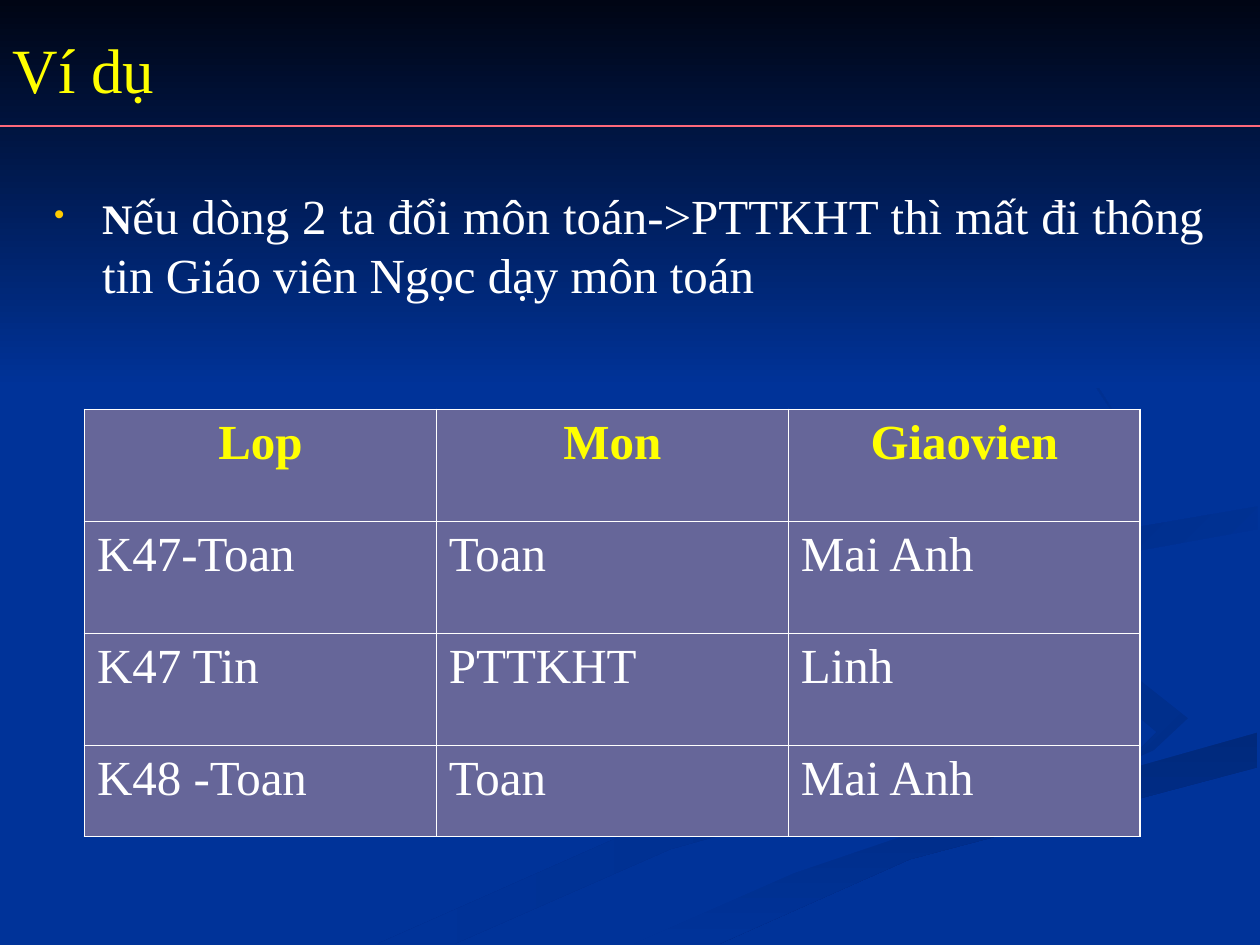
from dataclasses import dataclass

from lxml.etree import SubElement
from pptx import Presentation
from pptx.dml.color import RGBColor
from pptx.enum.shapes import MSO_CONNECTOR, MSO_SHAPE
from pptx.enum.text import MSO_ANCHOR, MSO_AUTO_SIZE, PP_ALIGN
from pptx.oxml.ns import qn
from pptx.util import Inches, Pt

FONT = "Times New Roman"
COLORS = {
    "blue": "003399",
    "night": "000514",
    "shade": "002E8A",
    "deep": "00297C",
    "dusk": "002C85",
    "ink": "002B81",
    "yellow": "FFFF00",
    "gold": "FFCC00",
    "white": "FFFFFF",
    "cell": "666699",
    "rule": "FE687A",
}


@dataclass
class Swirl:
    start: str
    end: str
    angle: int
    points: list[tuple[float, float]]


SWIRLS = [
    Swirl("shade", "blue", 180, [
        (7.81, 5.53), (6.42, 5.07), (5.75, 4.59), (5.76, 4.8), (7.41, 5.39), (7.86, 5.66),
        (7.39, 5.98), (4.99, 6.61), (3, 7.49), (3.61, 7.49), (5.32, 6.74), (7.8, 6.05),
        (8, 5.81)]),
    Swirl("shade", "blue", 225, [
        (9.43, 5.7), (9.05, 5.4), (7.58, 4.98), (7.24, 4.64), (7.46, 5), (8.8, 5.49),
        (9.18, 5.81), (8.94, 6.05), (9.37, 5.86)]),
    Swirl("deep", "blue", 90, [
        (5.03, 7.49), (5.71, 7.49), (7.22, 6.82), (9.98, 6.09), (9.98, 5.81), (7.64, 6.47),
        (6.3, 6.93)]),
    Swirl("blue", "blue", 0, [
        (7.25, 4.64), (7.59, 4.98), (9.05, 5.4), (9.43, 5.7), (9.11, 6), (7.04, 6.55),
        (4.77, 7.49), (5.03, 7.49), (6.3, 6.93), (7.65, 6.47), (9.99, 5.81), (9.99, 5.38),
        (8.32, 4.98), (7.82, 4.6), (8.35, 4.3), (9.99, 4.02), (9.99, 3.87), (7.7, 4.27)]),
    Swirl("blue", "dusk", 225, [
        (7.81, 4.6), (8.26, 4.96), (8.05, 4.72), (8.43, 4.48), (9.98, 4.2), (9.98, 4.02),
        (8.35, 4.3)]),
    Swirl("blue", "ink", 225, [
        (6.83, 4.3), (8.41, 3.96), (8.94, 3.44), (8.54, 2.83), (7.62, 2.33), (8.62, 2.92),
        (8.89, 3.35), (8.42, 3.78), (6.25, 4.26), (5.77, 4.62), (6.22, 5), (5.93, 4.7)]),
]

ROWS = [
    ("Lop", "Mon", "Giaovien"),
    ("K47-Toan", "Toan", "Mai Anh"),
    ("K47 Tin", "PTTKHT", "Linh"),
    ("K48 -Toan", "Toan", "Mai Anh"),
]
ROW_HEIGHTS = [0.89, 0.89, 0.89, 0.72]


def rgb(name: str) -> RGBColor:
    return RGBColor.from_string(COLORS[name])


def style(run, size: float, color: str, bold: bool = False) -> None:
    run.font.name = FONT
    run.font.size = Pt(size)
    run.font.bold = bold
    run.font.color.rgb = rgb(color)


def shade(shape, start: str, end: str, angle: int) -> None:
    shape.shadow.inherit = False
    shape.line.fill.background()
    if start == end:
        shape.fill.solid()
        shape.fill.fore_color.rgb = rgb(start)
        return
    shape.fill.gradient()
    shape.fill.gradient_angle = 360 - angle
    for stop, color in zip(shape.fill.gradient_stops, (start, end)):
        stop.color.rgb = rgb(color)


def draw_swirl(slide, swirl: Swirl) -> None:
    corners = [(Inches(x), Inches(y)) for x, y in swirl.points]
    builder = slide.shapes.build_freeform(*corners[0])
    builder.add_line_segments(corners[1:], close=True)
    shade(builder.convert_to_shape(), swirl.start, swirl.end, swirl.angle)


def draw_sky(slide) -> None:
    sky = slide.shapes.add_shape(MSO_SHAPE.RECTANGLE, 0, 0, Inches(10), Inches(3.08))
    shade(sky, "night", "blue", 90)


def place(holder, left: float, top: float, width: float, height: float, anchor) -> None:
    holder.left, holder.top = Inches(left), Inches(top)
    holder.width, holder.height = Inches(width), Inches(height)
    holder.text_frame.auto_size = MSO_AUTO_SIZE.NONE
    holder.text_frame.vertical_anchor = anchor
    holder.element.getparent().append(holder.element)


def write_title(slide) -> None:
    title = slide.shapes.title
    place(title, 0, 0, 8.84, 1.08, MSO_ANCHOR.MIDDLE)
    title.text_frame.text = "Ví dụ"
    heading = title.text_frame.paragraphs[0]
    heading.alignment = PP_ALIGN.LEFT
    style(heading.runs[0], 36, "yellow")


def write_body(slide) -> None:
    body = slide.placeholders[1]
    place(body, 0.33, 1.42, 9.33, 1.17, MSO_ANCHOR.TOP)
    remark = body.text_frame.paragraphs[0]
    properties = remark._p.get_or_add_pPr()
    properties.set("marL", str(Inches(0.38)))
    properties.set("indent", str(-Inches(0.38)))
    SubElement(SubElement(properties, qn("a:buClr")), qn("a:srgbClr"), val=COLORS["gold"])
    SubElement(properties, qn("a:buSzPct"), val="70000")
    SubElement(properties, qn("a:buChar"), char="•")
    remark.alignment = PP_ALIGN.JUSTIFY
    remark.space_before = Pt(0)
    initial, rest = remark.add_run(), remark.add_run()
    initial.text = "N"
    rest.text = "ếu dòng 2 ta đổi môn toán->PTTKHT thì mất đi thông tin Giáo viên Ngọc dạy môn toán"
    style(initial, 24, "white", bold=True)
    style(rest, 28, "white")


def add_border(cell, side: str, outer: bool) -> None:
    width = Pt(1.08 if outer else 0.45)
    border = SubElement(cell._tc.get_or_add_tcPr(), qn(f"a:{side}"), w=str(width))
    SubElement(SubElement(border, qn("a:solidFill")), qn("a:srgbClr"), val=COLORS["white"])


def add_schedule(slide) -> None:
    last_row, last_column = len(ROWS) - 1, len(ROWS[0]) - 1
    schedule = slide.shapes.add_table(len(ROWS), len(ROWS[0]), Inches(0.67), Inches(3.25),
                                      Inches(8.38), Inches(sum(ROW_HEIGHTS))).table
    for r, (entries, height) in enumerate(zip(ROWS, ROW_HEIGHTS)):
        schedule.rows[r].height = Inches(height)
        for c, entry in enumerate(entries):
            cell = schedule.cell(r, c)
            add_border(cell, "lnL", c == 0)
            add_border(cell, "lnR", c == last_column)
            add_border(cell, "lnT", r == 0)
            add_border(cell, "lnB", r == last_row)
            cell.fill.solid()
            cell.fill.fore_color.rgb = rgb("cell")
            cell.text_frame.text = entry
            line = cell.text_frame.paragraphs[0]
            line.alignment = PP_ALIGN.CENTER if r == 0 else PP_ALIGN.LEFT
            style(line.runs[0], 28, "yellow" if r == 0 else "white", bold=r == 0)


def add_rule(slide) -> None:
    rule = slide.shapes.add_connector(MSO_CONNECTOR.STRAIGHT, 0, Inches(1), Inches(10), Inches(1))
    rule.line.color.rgb = rgb("rule")
    rule.line.width = Pt(0.75)
    SubElement(rule.element.spPr, qn("a:effectLst"))


def main() -> None:
    deck = Presentation()
    deck.slide_width, deck.slide_height = Inches(10), Inches(7.5)
    slide = deck.slides.add_slide(deck.slide_layouts[1])
    slide.background.fill.solid()
    slide.background.fill.fore_color.rgb = rgb("blue")
    for swirl in SWIRLS:
        draw_swirl(slide, swirl)
    draw_sky(slide)
    write_body(slide)
    add_schedule(slide)
    write_title(slide)
    add_rule(slide)
    deck.save("out.pptx")


if __name__ == "__main__":
    main()
